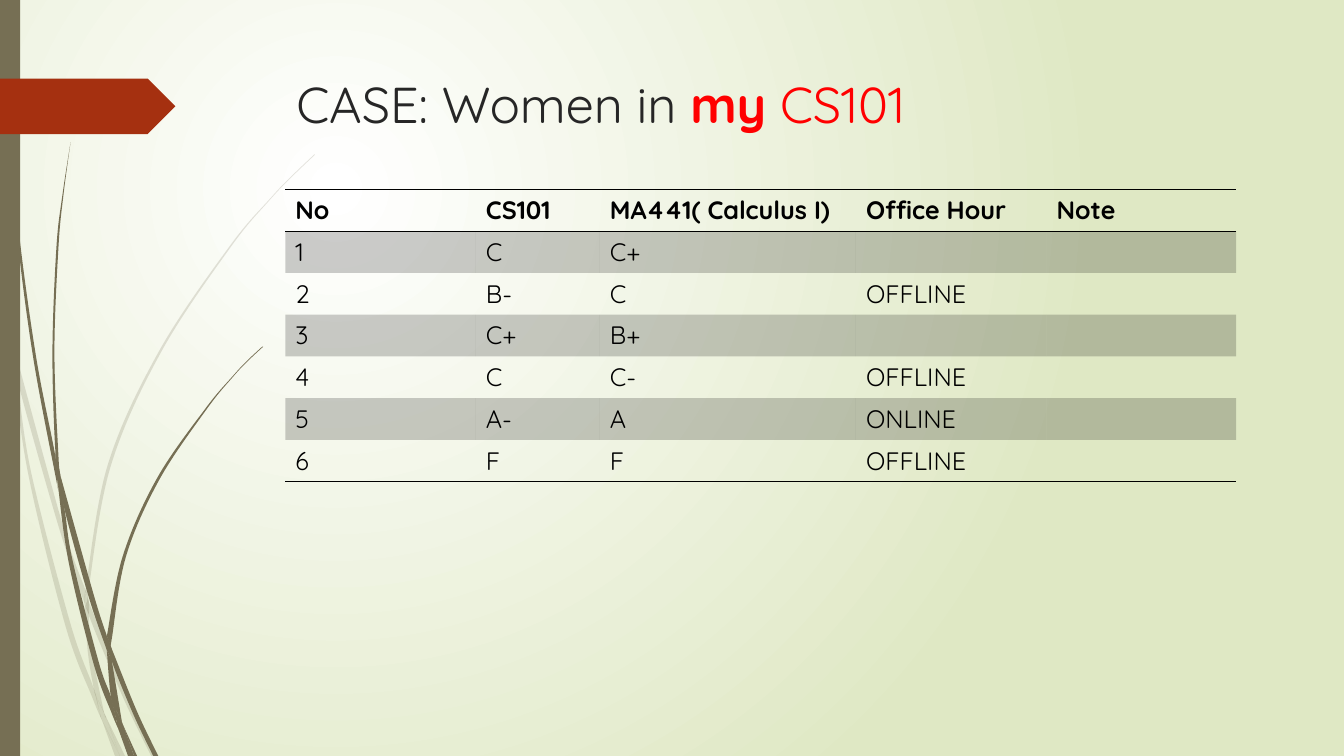
from lxml.etree import SubElement
from pptx import Presentation
from pptx.dml.color import RGBColor
from pptx.enum.shapes import MSO_SHAPE
from pptx.oxml import parse_xml
from pptx.oxml.ns import nsdecls, qn
from pptx.util import Inches, Pt

FONT = "Quicksand"
OLIVE, RUST, RED, BLACK = "766F54", "A53010", "FF0000", "000000"
W, H = 13.33, 7.5


def paint(fmt, color, alpha=100):
    """Make a fill solid in a hex colour, with opacity in percent."""
    fmt.solid()
    fmt.fore_color.rgb = RGBColor.from_string(color)
    if alpha < 100:
        clr = fmt.fore_color._xFill.find(qn("a:srgbClr"))
        SubElement(clr, qn("a:alpha")).set("val", str(alpha * 1000))


def add_blade(shapes, left, right):
    """Draw a grass piece whose two edges run from tip to root as smooth curves."""
    sides = [[(Inches(x), Inches(y)) for x, y in side] for side in (left, right[::-1])]
    outline = sides[0] + sides[1]
    builder = shapes.build_freeform(*outline[0])
    builder.add_line_segments(outline[1:])
    sp = builder.convert_to_shape()
    lines = iter(sp._element.findall(".//" + qn("a:lnTo")))
    for side in sides:
        ends = [side[0], *side, side[-1]]
        for a, b, c, d in zip(ends, ends[1:], ends[2:], ends[3:]):
            handles = [[q + (r - p) / 6 for p, q, r in zip(a, b, c)],
                       [q - (r - p) / 6 for p, q, r in zip(b, c, d)], c]
            line = next(lines)
            curve = line.makeelement(qn("a:cubicBezTo"))
            for x, y in handles:
                pt = SubElement(curve, qn("a:pt"))
                pt.set("x", str(round(x - sp.left)))
                pt.set("y", str(round(y - sp.top)))
            line.getparent().replace(line, curve)
        next(lines, None)
    return sp


prs = Presentation()
prs.slide_width, prs.slide_height = Inches(W), Inches(H)
slide = prs.slides.add_slide(prs.slide_layouts[6])

# Background: circular gradient centred in the upper left quarter
bg = slide.background.fill
bg.gradient()
for stop, color in zip(bg.gradient_stops, ("FFFFFF", "DFE8C4")):
    stop.color.rgb = RGBColor.from_string(color)
grad = slide.element.find(".//" + qn("a:gradFill"))
grad.remove(grad.find(qn("a:lin")))
grad.append(parse_xml(
    f'<a:path {nsdecls("a")} path="circle"><a:fillToRect l="50000" t="50000" '
    'r="100000" b="100000"/></a:path>'))

# Grass: left and right edge of every piece, from tip to root
pale_grass = [
    ([(0, 2.99), (0.1, 3.44), (0.11, 3.5)], [(0, 2.82), (0.09, 3.22), (0.11, 3.5)]),
    ([(0.14, 3.45), (0.17, 3.76), (0.58, 5.22), (0.84, 5.99)],
     [(0.14, 3.45), (0.62, 5.2), (0.85, 5.86)]),
    ([(0.88, 5.96), (0.88, 6.1), (1.23, 6.94), (1.5, H)],
     [(0.88, 5.96), (0.92, 6.07), (1.27, 6.92), (1.55, H)]),
    ([(1.05, 7.11), (1.19, H)], [(1.05, 7.11), (1.24, H)]),
    ([(0.11, 3.5), (0.28, 4.7), (0.65, 6.21), (0.92, 6.93), (1.01, 7.14)],
     [(0.11, 3.5), (0.17, 3.76), (0.31, 4.69), (0.7, 6.19), (0.93, 6.83),
      (0.99, 7.07), (1.01, 7.14)]),
    ([(0.84, 5.99), (0.87, 6.46), (0.93, 6.83), (0.96, 6.92), (1.05, 7.11)],
     [(0.84, 5.99), (0.88, 6.08), (0.88, 6.1), (0.91, 6.46), (1.03, 7.06), (1.05, 7.11)]),
    ([(3.12, 1.53), (2.89, 1.75), (2.68, 1.97), (2.28, 2.44), (1.58, 3.48),
      (1.07, 4.61), (0.85, 5.84), (0.85, 5.86)],
     [(3.12, 1.54), (2.9, 1.75), (2.68, 1.98), (2.29, 2.45), (1.6, 3.49),
      (1.1, 4.62), (0.88, 5.84), (0.88, 5.96)]),
    ([(1.01, 7.14), (1.14, H)], [(1.01, 7.14), (1.19, H)]),
    ([(0.85, 5.86), (0.84, 5.99), (0.88, 6.08)], [(0.85, 5.86), (0.88, 5.96), (0.88, 6.1)]),
    ([(0.93, 6.83), (0.99, 7.07), (1.01, 7.14), (1.19, H)],
     [(0.93, 6.83), (0.96, 6.92), (1.05, 7.11), (1.19, H)]),
]
dark_grass = [
    ([(0.03, 0), (0.04, 0.48), (0.07, 1.1), (0.17, 2.33), (0.33, 3.55), (0.56, 4.77),
      (0.57, 4.81)],
     [(0.04, 0), (0.05, 0.48), (0.08, 1.09), (0.19, 2.32), (0.36, 3.55), (0.55, 4.53),
      (0.57, 4.81)]),
    ([(0.6, 4.72), (0.64, 5.05), (0.88, 5.92), (1.06, 6.45)],
     [(0.6, 4.72), (0.93, 5.9), (1.06, 6.31), (1.06, 6.33)]),
    ([(1.1, 6.41), (1.11, 6.56), (1.32, 7.08), (1.52, H)],
     [(1.1, 6.41), (1.13, 6.49), (1.36, 7.06), (1.57, H)]),
    ([(0.57, 4.77), (0.68, 5.57), (0.93, 6.59), (1.11, 7.08), (1.17, 7.22)],
     [(0.57, 4.77), (0.64, 5.05), (0.72, 5.56), (0.98, 6.57), (1.1, 6.91),
      (1.16, 7.17), (1.17, 7.22)]),
    ([(0.7, 1.41), (0.62, 1.93), (0.56, 2.45), (0.52, 3.49), (0.55, 4.49), (0.6, 4.72)],
     [(0.7, 1.41), (0.63, 1.93), (0.58, 2.45), (0.54, 3.49), (0.58, 4.53), (0.6, 4.72)]),
    ([(1.22, 7.19), (1.33, H)], [(1.22, 7.19), (1.36, H)]),
    ([(0.55, 4.49), (0.55, 4.53), (0.57, 4.77), (0.64, 5.05)],
     [(0.55, 4.49), (0.6, 4.72), (0.64, 5.05)]),
    ([(2.6, 3.44), (2.45, 3.58), (2.31, 3.73), (2.04, 4.05), (1.56, 4.74),
      (1.22, 5.51), (1.06, 6.31)],
     [(2.61, 3.44), (2.45, 3.59), (2.31, 3.74), (2.05, 4.06), (1.58, 4.76),
      (1.25, 5.52), (1.11, 6.33), (1.1, 6.41)]),
    ([(1.17, 7.22), (1.27, H)], [(1.17, 7.22), (1.31, H)]),
    ([(1.06, 6.45), (1.1, 6.91), (1.16, 7.06), (1.22, 7.19)],
     [(1.06, 6.45), (1.09, 6.51), (1.11, 6.56), (1.21, 7.16), (1.22, 7.19)]),
    ([(1.06, 6.31), (1.06, 6.33), (1.06, 6.45)],
     [(1.06, 6.31), (1.1, 6.41), (1.11, 6.56), (1.09, 6.51)]),
    ([(1.1, 6.91), (1.16, 7.17), (1.17, 7.22), (1.3, H)],
     [(1.1, 6.91), (1.16, 7.06), (1.22, 7.19), (1.33, H)]),
]
for grass, alpha in ((pale_grass, 20), (dark_grass, 100)):
    group = slide.shapes.add_group_shape()
    for left, right in grass:
        sp = add_blade(group.shapes, left, right)
        sp.shadow.inherit = False
        sp.line.fill.background()
        paint(sp.fill, OLIVE, alpha)

# Left rail and page arrow
for kind, top, width, height, color in (
        (MSO_SHAPE.RECTANGLE, 0, 0.2, H, OLIVE),
        (MSO_SHAPE.PENTAGON, 0.78, 1.74, 0.55, RUST)):
    sp = slide.shapes.add_shape(kind, 0, Inches(top), Inches(width), Inches(height))
    sp.shadow.inherit = False
    sp.line.fill.background()
    paint(sp.fill, color)

# Title
tf = slide.shapes.add_textbox(Inches(2.84), Inches(0.68), Inches(9.75), Inches(1.4)).text_frame
tf.word_wrap = True
for text, color, bold in (("CASE: Women in ", "262626", False),
                          ("my", RED, True), (" CS101", RED, False)):
    r = tf.paragraphs[0].add_run()
    r.text = text
    r.font.name, r.font.size, r.font.bold = FONT, Pt(36), bold
    paint(r.font.fill, color)

# Grades table
rows = [
    ("No", "CS101", "MA441( Calculus I)", "Office Hour", "Note"),
    ("1", "C", "C+", "", ""),
    ("2", "B-", "C", "OFFLINE", ""),
    ("3", "C+", "B+", "", ""),
    ("4", "C", "C-", "OFFLINE", ""),
    ("5", "A-", "A", "ONLINE", ""),
    ("6", "F", "F", "OFFLINE", ""),
]
col_widths = [1.89, 1.23, 2.54, 1.89, 1.88]
frame = slide.shapes.add_table(len(rows), len(col_widths), Inches(2.83), Inches(1.88),
                               Inches(sum(col_widths)), Inches(2.9))
table = frame.table
table.horz_banding = False
no_style = "{2D5ABB26-0587-4C30-8999-92F81FD0307C}"
frame._element.find(".//" + qn("a:tableStyleId")).text = no_style
for col, width in zip(table.columns, col_widths):
    col.width = Inches(width)

edges = {0: ("lnT", "lnB"), len(rows) - 1: ("lnB",)}
for i, row in enumerate(rows):
    for j, text in enumerate(row):
        cell = table.cell(i, j)
        cell.text_frame.text = text
        for r in cell.text_frame.paragraphs[0].runs:
            r.font.name, r.font.size, r.font.bold = FONT, Pt(18), i == 0
            paint(r.font.fill, BLACK)
        for edge in edges.get(i, ()):
            cell._tc.get_or_add_tcPr().append(parse_xml(
                f'<a:{edge} {nsdecls("a")} w="12700"><a:solidFill>'
                f'<a:srgbClr val="{BLACK}"/></a:solidFill></a:{edge}>'))
        if i % 2:
            paint(cell.fill, BLACK, 20)
        else:
            cell.fill.background()

prs.save("out.pptx")
